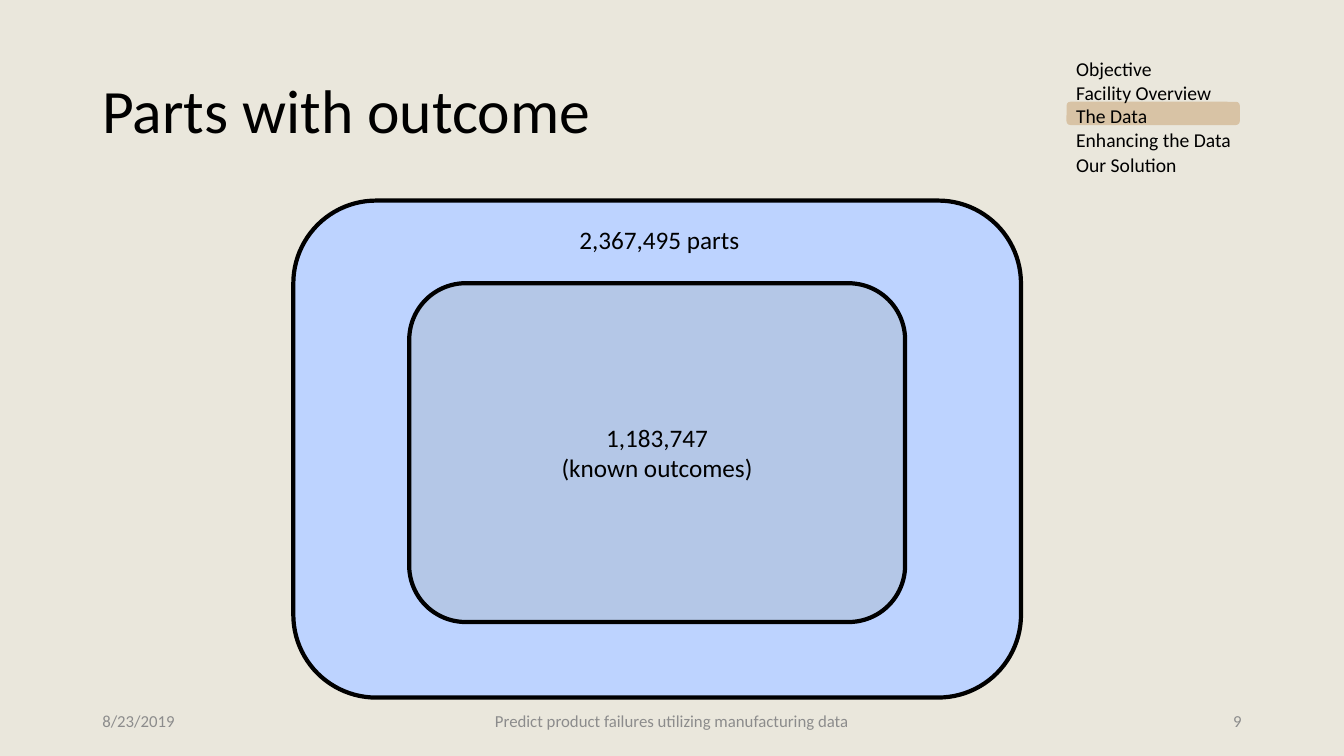
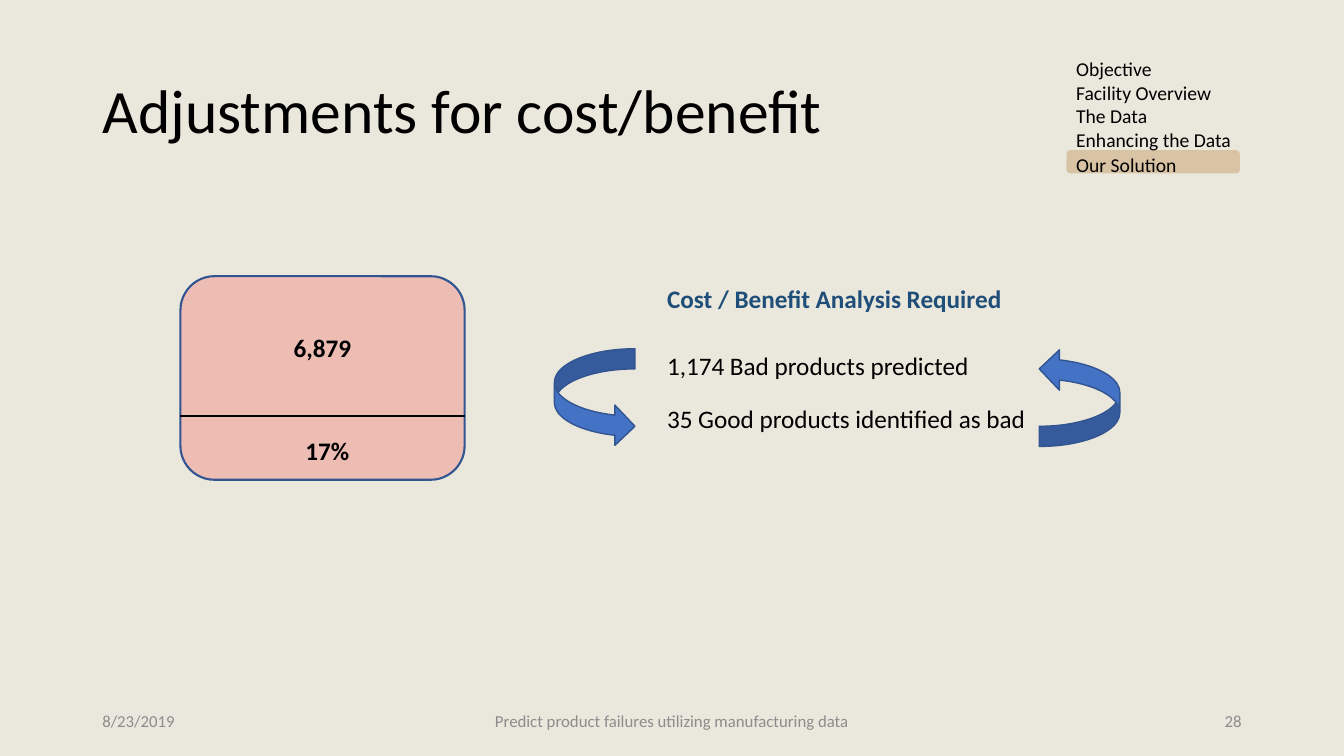
from lxml.etree import SubElement
from pptx import Presentation
from pptx.dml.color import RGBColor
from pptx.enum.shapes import MSO_CONNECTOR, MSO_SHAPE
from pptx.enum.text import MSO_ANCHOR, PP_ALIGN
from pptx.oxml.ns import qn
from pptx.util import Pt

# Shared look
FONT = "Calibri"
BLACK, GREY, NAVY = "000000", "8C8C8C", "1F4E79"
BACKGROUND, HIGHLIGHT = "EAE7DC", "D8C3A5"
BLUE, BLUE_EDGE = "4472C4", "325491"
LEFT, CENTER, RIGHT = PP_ALIGN.LEFT, PP_ALIGN.CENTER, PP_ALIGN.RIGHT
TOP, MIDDLE, BOTTOM = MSO_ANCHOR.TOP, MSO_ANCHOR.MIDDLE, MSO_ANCHOR.BOTTOM

SECTIONS = "Objective\nFacility Overview\nThe Data\nEnhancing the Data\nOur Solution"


def write(sp, text, size=18, color=BLACK, bold=False, align=LEFT,
          anchor=TOP, spacing=None, before=None):
    """Fill a shape with one paragraph per line of text."""
    tf = sp.text_frame
    tf.word_wrap = True
    tf.vertical_anchor = anchor
    for i, line in enumerate(text.split("\n")):
        p = tf.add_paragraph() if i else tf.paragraphs[0]
        p.alignment = align
        if spacing is not None:
            p.line_spacing = spacing
        if before is not None:
            p.space_before = Pt(before)
        r = p.add_run()
        r.text = line
        r.font.name, r.font.size, r.font.bold = FONT, Pt(size), bold
        r.font.color.rgb = RGBColor.from_string(color)
    return tf


def paint(sp, fill=None, line=None, width=1, alpha=None):
    """Set fill, outline and opacity of a shape, without a shadow."""
    sp.shadow.inherit = False
    if fill:
        sp.fill.solid()
        sp.fill.fore_color.rgb = RGBColor.from_string(fill)
    else:
        sp.fill.background()
    if alpha:
        clr = sp.fill._xPr.find(qn("a:solidFill"))[0]
        SubElement(clr, qn("a:alpha"), val=str(alpha * 1000))
    if line:
        sp.line.color.rgb = RGBColor.from_string(line)
        sp.line.width = Pt(width)
    else:
        sp.line.fill.background()
    return sp


prs = Presentation()
prs.slide_width, prs.slide_height = Pt(960), Pt(540)

# Background and title position for all slides
bg = prs.slide_master.background.fill
bg.solid()
bg.fore_color.rgb = RGBColor.from_string(BACKGROUND)
layout = prs.slide_layouts[5]
ph = layout.placeholders[0]
ph.left, ph.top, ph.width, ph.height = Pt(66), Pt(28.8), Pt(828), Pt(104.4)

# Title, footer and section menu: title, page number, top of the highlight
slides = []
for title, number, mark_top in [("Parts with outcome", "9", 72.7),
                                ("Adjustments for cost/benefit", "28", 107.3)]:
    s = prs.slides.add_slide(layout)
    slides.append(s)
    write(s.shapes.title, title, size=44, anchor=MIDDLE, spacing=0.9)

    for x, w, text, align in [
            (66, 216, "8/23/2019", LEFT),
            (318, 324, "Predict product failures utilizing manufacturing data", CENTER),
            (678, 216, number, RIGHT)]:
        sp = s.shapes.add_textbox(Pt(x), Pt(500.5), Pt(w), Pt(28.8))
        write(sp, text, size=12, color=GREY, align=align, anchor=MIDDLE)

    paint(s.shapes.add_shape(MSO_SHAPE.ROUNDED_RECTANGLE, Pt(761.8), Pt(mark_top),
                             Pt(123.8), Pt(16.6)), HIGHLIGHT)
    menu = paint(s.shapes.add_shape(MSO_SHAPE.ROUNDED_RECTANGLE, Pt(756.7), Pt(33.8),
                                    Pt(137.5), Pt(99.4)))
    tf = write(menu, SECTIONS, size=14, anchor=BOTTOM, spacing=0.4, before=10)
    tf.paragraphs[-1].line_spacing = 0.5

parts, adjustments = slides

# Parts: known outcomes nested in all parts
for x, y, w, h, fill, text in [
        (209.5, 143.3, 519.8, 355, "BDD3FF", ""),
        (292.3, 202.3, 354.2, 242, "B4C7E7", "1,183,747\n(known outcomes)")]:
    sp = parts.shapes.add_shape(MSO_SHAPE.ROUNDED_RECTANGLE, Pt(x), Pt(y), Pt(w), Pt(h))
    paint(sp, fill, BLACK, 3)
    if text:
        write(sp, text, align=CENTER, anchor=MIDDLE)
write(parts.shapes.add_textbox(Pt(406.8), Pt(157), Pt(130.3), Pt(28.8)), "2,367,495 parts")

# Adjustments: card split by a line
shapes = adjustments.shapes
card = shapes.add_shape(MSO_SHAPE.ROUNDED_RECTANGLE, Pt(128.9), Pt(197.3), Pt(203), Pt(145.4))
paint(card, "FF0000", BLUE_EDGE, 1.5, alpha=18)
tf = write(card, "6,879", bold=True, align=CENTER, anchor=MIDDLE)
tf.margin_bottom = Pt(47.6)
divider = shapes.add_connector(MSO_CONNECTOR.STRAIGHT, Pt(128.9), Pt(297.4), Pt(331.9), Pt(297.4))
divider.line.color.rgb = RGBColor.from_string(BLACK)
divider.line.width = Pt(1.5)
SubElement(divider._element.spPr, qn("a:effectLst"))
write(shapes.add_textbox(Pt(211), Pt(307.4), Pt(90), Pt(28.8)), "17%", bold=True)

# Cost and benefit statements
for y, text, color, bold in [
        (198.7, "Cost / Benefit Analysis Required", NAVY, True),
        (247, "1,174 Bad products predicted", BLACK, False),
        (284.7, "35 Good products identified as bad", BLACK, False)]:
    write(shapes.add_textbox(Pt(469.4), Pt(y), Pt(280), Pt(28.8)), text, color=color, bold=bold)

# Arrows circling the statements
for x, turn in [(396, 0), (742.3, 180)]:
    sp = shapes.add_shape(MSO_SHAPE.CURVED_RIGHT_ARROW, Pt(x), Pt(249.1), Pt(57.6), Pt(69.8))
    paint(sp, BLUE, BLUE_EDGE).rotation = turn

prs.save("out.pptx")
